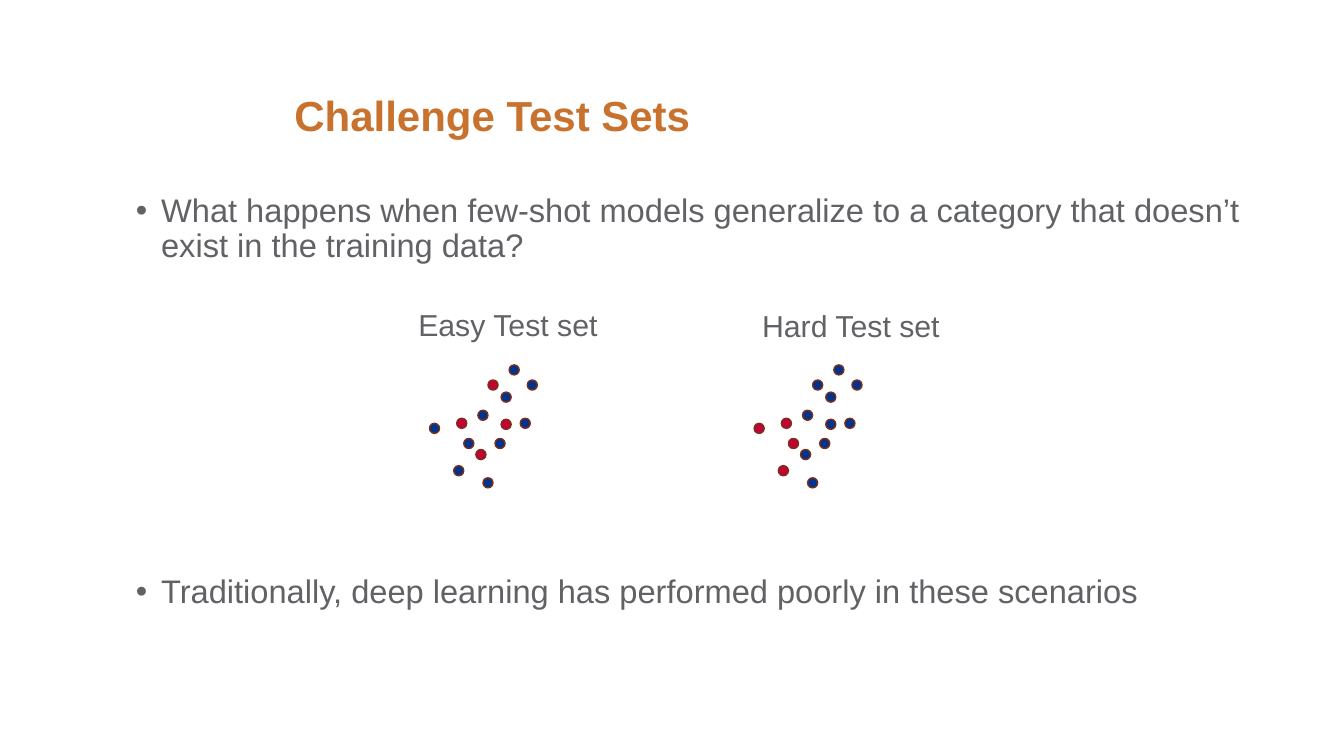
"""Build the Challenge Test Sets slide with its two scatter groups."""
from lxml import etree
from pptx import Presentation, util as u
from pptx.dml.color import RGBColor
from pptx.enum import shapes, text
from pptx.oxml.ns import qn

COLORS = {"title": "C8722E", "body": "616265", "blue": "00338E", "red": "C10435", "outline": "7B2F16"}

presentation = Presentation()
presentation.slide_width = u.Inches(13.33)
presentation.slide_height = u.Inches(7.5)
slide = presentation.slides.add_slide(presentation.slide_layouts[6])


def add_text(paragraphs, left, top, width, height, size, color="body", bold=False, wrap=True,
             anchor=text.MSO_ANCHOR.TOP, margin_left=0.1, spacing=None, gap=0, bullets=False):
    box = slide.shapes.add_textbox(u.Inches(left), u.Inches(top), u.Inches(width), u.Inches(height))
    frame = box.text_frame
    frame.word_wrap = wrap
    frame.vertical_anchor = anchor
    frame.margin_left = u.Inches(margin_left)
    for index, content in enumerate(paragraphs):
        paragraph = frame.paragraphs[0] if index == 0 else frame.add_paragraph()
        if bullets:
            properties = paragraph._p.get_or_add_pPr()
            properties.set("marL", str(u.Inches(0.25)))
            properties.set("indent", str(-u.Inches(0.25)))
            etree.SubElement(properties, qn("a:buFont")).set("typeface", "Arial")
            etree.SubElement(properties, qn("a:buChar")).set("char", "•")
        paragraph.line_spacing = spacing
        if index:
            paragraph.space_before = u.Pt(gap)
        run = paragraph.add_run()
        run.text = content
        run.font.name = "Arial"
        run.font.size = u.Pt(size)
        run.font.bold = bold
        run.font.color.rgb = RGBColor.from_string(COLORS[color])


add_text(["Challenge Test Sets"], 2.92, 0.25, 10, 1.19, 30, color="title", bold=True,
         anchor=text.MSO_ANCHOR.BOTTOM, margin_left=0, spacing=0.9)
add_text(["What happens when few-shot models generalize to a category that doesn’t exist in the training data?",
          "Traditionally, deep learning has performed poorly in these scenarios"],
         1.25, 1.88, 11.67, 5, 23.3, spacing=0.9, gap=222, bullets=True)

points = [(4.97, 3.89), (5.23, 3.77), (4.6, 4.35), (4.74, 4.07), (4.5, 4.62), (5.16, 4.15), (4.91, 4.35),
          (4.79, 4.74), (5.05, 3.62), (4.26, 4.2), (4.53, 4.15), (4.72, 4.46), (4.97, 4.16), (4.84, 3.77)]
test_sets = [
    ("Easy Test set", 4.05, 2.99, 1.99, 0, {10, 11, 12, 13}),
    ("Hard Test set", 7.46, 3, 1.98, 3.22, {2, 4, 9, 10}),
]
for label, label_left, label_top, label_width, offset, red_points in test_sets:
    for index, (left, top) in enumerate(points):
        dot = slide.shapes.add_shape(shapes.MSO_SHAPE.OVAL, u.Inches(left + offset), u.Inches(top),
                                     u.Inches(0.1), u.Inches(0.1))
        dot.shadow.inherit = False
        dot.fill.solid()
        dot.fill.fore_color.rgb = RGBColor.from_string(COLORS["red" if index in red_points else "blue"])
        dot.line.color.rgb = RGBColor.from_string(COLORS["outline"])
        dot.line.width = u.Pt(1)
    add_text([label], label_left, label_top, label_width, 0.46, 21.6, wrap=False)

presentation.save("out.pptx")
